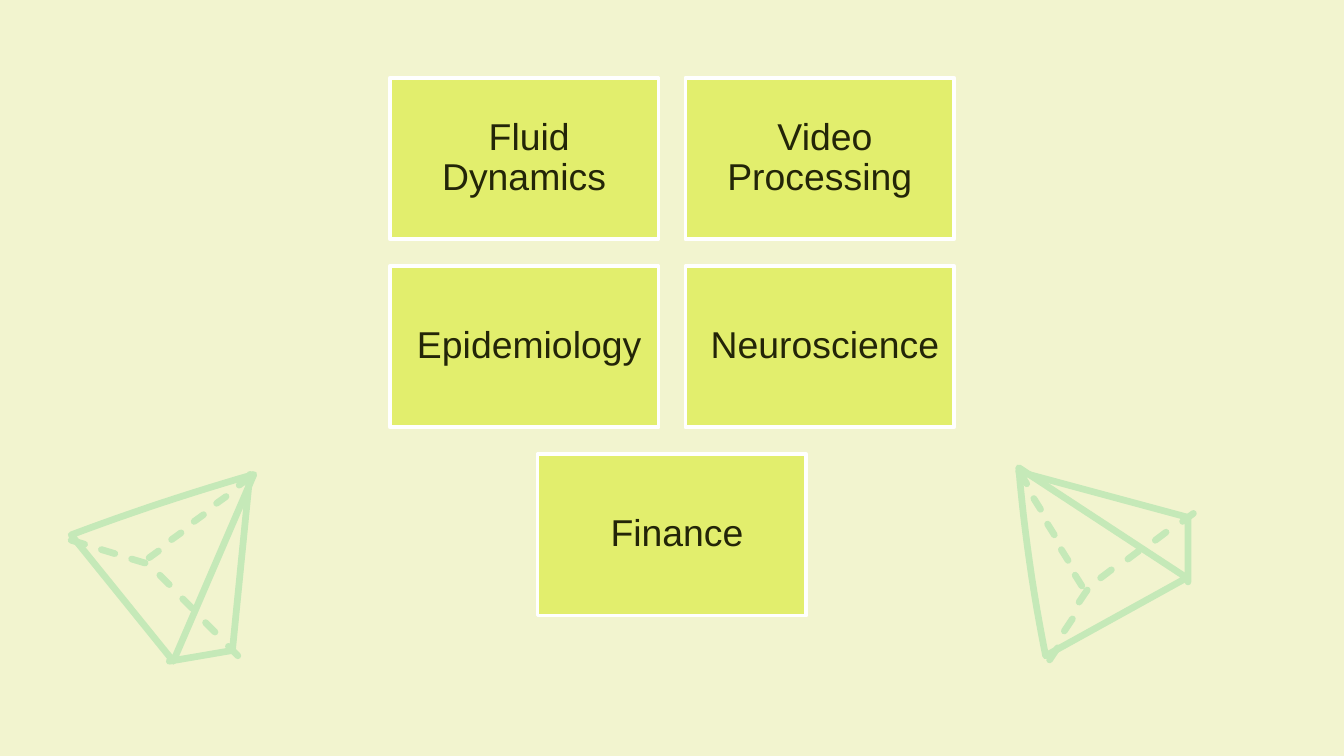
"""Build a slide of application areas flanked by two sketched pyramids."""
import pptx
import pptx.dml.color
import pptx.enum.shapes
import pptx.enum.text
import pptx.util

Inches = pptx.util.Inches
Pt = pptx.util.Pt

COLORS = {"background": "F2F4CF", "card": "E2EE6D", "border": "FFFFFF",
          "text": "232508", "pyramid": "C5E9B8"}
SLIDE_WIDTH = 10
SLIDE_HEIGHT = SLIDE_WIDTH * 9 / 16
CARD_WIDTH, CARD_HEIGHT, GAP, TOP = 2, 1.2, 0.2, 0.58

AREAS = [
    [" Fluid Dynamics", " Video Processing"],
    [" Epidemiology", " Neuroscience"],
    [" Finance"],
]

PYRAMIDS = [
    {
        "base": [((8.19, 4.3), (8.8, 3.88), (0.08, -0.06), 4),
                 ((8.09, 4.39), (7.87, 4.82), (-0.06, 0.09), 3)],
        "hidden_edge": [((7.59, 3.52), (8, 4.28), (0.05, 0.08), 5)],
        "bowed_edge": [(7.58, 3.48), (7.66, 4.18), (7.78, 4.88)],
        "corner": (8.83, 4.3),
        "side": [(7.58, 3.51), (8.84, 3.85), (8.84, 4.33)],
    },
    {
        "base": [((1.19, 4.28), (1.7, 4.81), (0.07, 0.07), 4),
                 ((1.08, 4.19), (0.63, 4.05), (-0.1, -0.03), 3)],
        "hidden_edge": [((1.85, 3.56), (1.18, 4.1), (-0.07, 0.05), 5)],
        "bowed_edge": [(1.89, 3.53), (1.21, 3.74), (0.53, 3.98)],
        "corner": (1.29, 4.92),
        "side": [(1.86, 3.53), (1.73, 4.84), (1.26, 4.92)],
    },
]


def rgb(role):
    return pptx.dml.color.RGBColor.from_string(COLORS[role])


def add_card(slide, area, left, top):
    card = slide.shapes.add_shape(
        pptx.enum.shapes.MSO_SHAPE.RECTANGLE,
        Inches(left), Inches(top), Inches(CARD_WIDTH), Inches(CARD_HEIGHT))
    card.shadow.inherit = False
    card.fill.solid()
    card.fill.fore_color.rgb = rgb("card")
    card.line.color.rgb = rgb("border")
    card.line.width = Pt(2)
    frame = card.text_frame
    frame.word_wrap = True
    frame.vertical_anchor = pptx.enum.text.MSO_ANCHOR.MIDDLE
    frame.margin_left = frame.margin_right = Inches(0.08)
    frame.margin_top = frame.margin_bottom = Inches(0.08)
    label = frame.paragraphs[0]
    label.text = area
    label.alignment = pptx.enum.text.PP_ALIGN.CENTER
    label.line_spacing = 0.9
    label.font.name = "Arial"
    label.font.size = Pt(20)
    label.font.color.rgb = rgb("text")


def dashes(runs):
    strokes = []
    for first, last, dash, count in runs:
        for index in range(count):
            start = [a + (b - a) * index / (count - 1) for a, b in zip(first, last)]
            strokes.append([start, [a + d for a, d in zip(start, dash)]])
    return strokes


def bow(start, middle, end, steps=12):
    points = []
    for index in range(steps + 1):
        t = index / steps
        points.append([a * (1 - t) * (1 - 2 * t) + 4 * m * t * (1 - t) + b * t * (2 * t - 1)
                       for a, m, b in zip(start, middle, end)])
    return points


def add_strokes(slide, strokes, close=False):
    contours = [[(Inches(x), Inches(y)) for x, y in stroke] for stroke in strokes]
    builder = slide.shapes.build_freeform(*contours[0][0])
    for index, (start, *rest) in enumerate(contours):
        if index:
            builder.move_to(*start)
        builder.add_line_segments(rest, close=close)
    sketch = builder.convert_to_shape()
    sketch.shadow.inherit = False
    sketch.fill.background()
    sketch.line.color.rgb = rgb("pyramid")
    sketch.line.width = Pt(3.6)
    sketch.element.spPr.get_or_add_ln().set("cap", "rnd")


def main():
    deck = pptx.Presentation()
    deck.slide_width = Inches(SLIDE_WIDTH)
    deck.slide_height = Inches(SLIDE_HEIGHT)
    slide = deck.slides.add_slide(deck.slide_layouts[6])
    slide.background.fill.solid()
    slide.background.fill.fore_color.rgb = rgb("background")

    for row, areas in enumerate(AREAS):
        row_width = len(areas) * (CARD_WIDTH + GAP) - GAP
        for column, area in enumerate(areas):
            left = (SLIDE_WIDTH - row_width) / 2 + column * (CARD_WIDTH + GAP)
            add_card(slide, area, left, TOP + row * (CARD_HEIGHT + GAP))

    for pyramid in PYRAMIDS:
        add_strokes(slide, dashes(pyramid["base"]))
        add_strokes(slide, dashes(pyramid["hidden_edge"]))
        add_strokes(slide, [bow(*pyramid["bowed_edge"]) + [pyramid["corner"]]], close=True)
        add_strokes(slide, [pyramid["side"]])

    deck.save("out.pptx")


if __name__ == "__main__":
    main()
